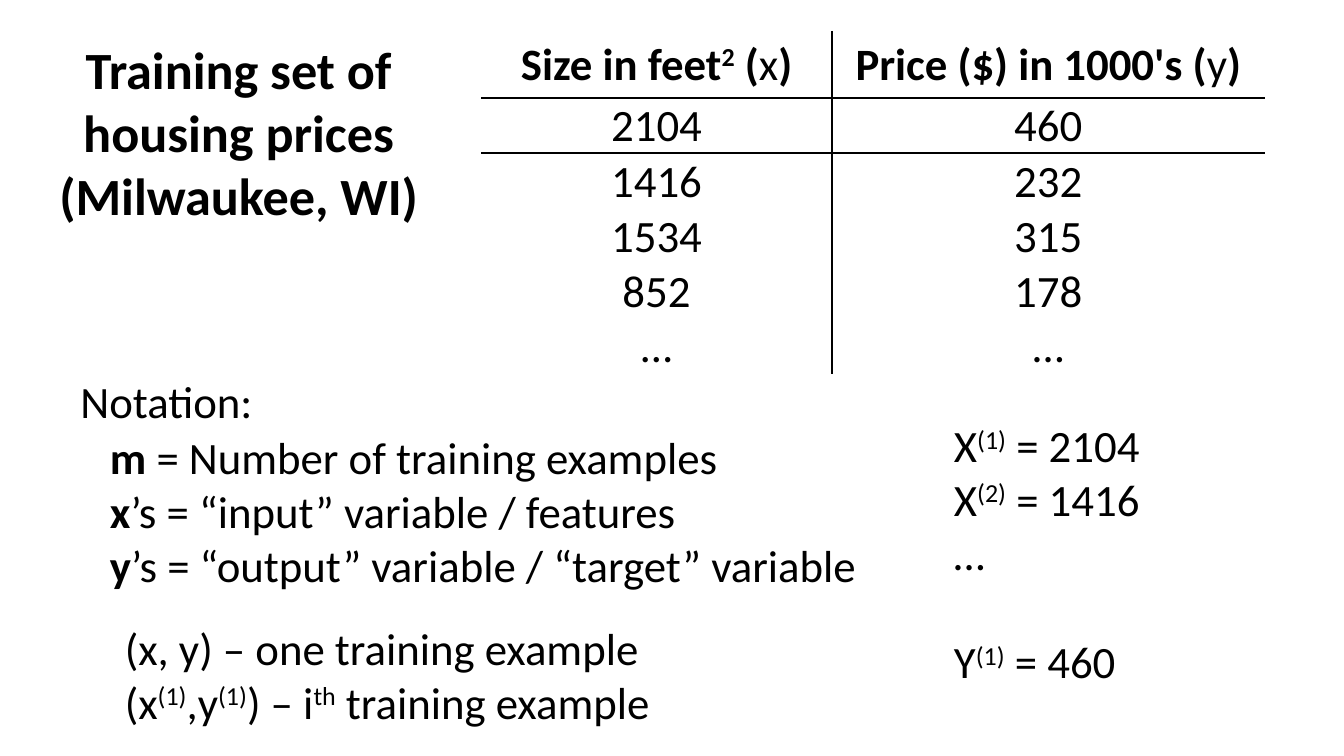
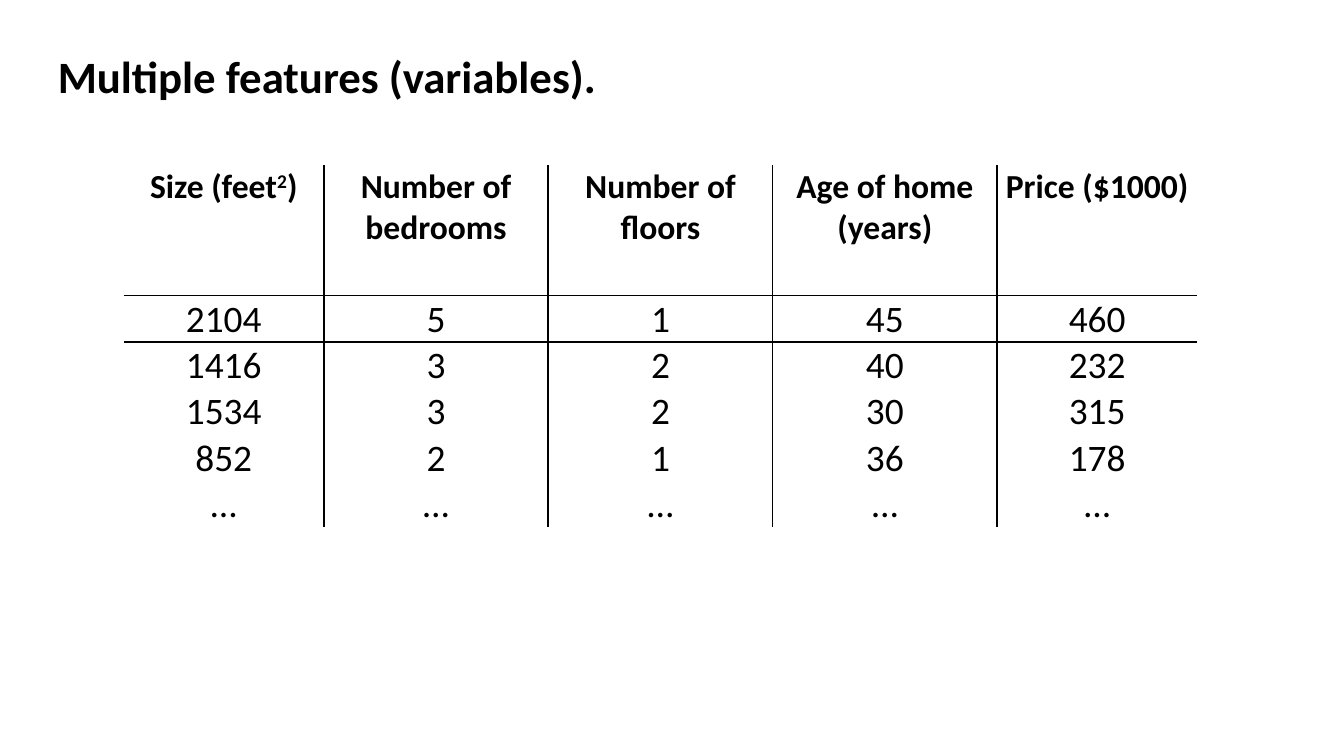
from dataclasses import dataclass

from lxml import etree
from pptx import Presentation
from pptx.dml.color import RGBColor
from pptx.enum.text import MSO_ANCHOR, MSO_AUTO_SIZE, PP_ALIGN
from pptx.oxml.ns import qn
from pptx.slide import Slide
from pptx.table import _Cell
from pptx.text.text import TextFrame, _Paragraph
from pptx.util import Inches, Pt

BLACK = RGBColor(0x00, 0x00, 0x00)
WHITE = RGBColor(0xFF, 0xFF, 0xFF)
FONT = "Calibri"
PLAIN = "{2D5ABB26-0587-4C30-8999-92F81FD0307C}"
LEFT, CENTER = PP_ALIGN.LEFT, PP_ALIGN.CENTER
TOP, MIDDLE, BOTTOM = MSO_ANCHOR.TOP, MSO_ANCHOR.MIDDLE, MSO_ANCHOR.BOTTOM
FIT = MSO_AUTO_SIZE.SHAPE_TO_FIT_TEXT
TITLE_ONLY = 5


@dataclass
class Area:
    left: float
    top: float
    width: float
    height: float

    def lengths(self) -> list[int]:
        return [Inches(v) for v in (self.left, self.top, self.width, self.height)]


@dataclass
class Line:
    text: str
    indent: float = 0
    before: float = 0


@dataclass
class Note:
    area: Area
    lines: list[Line]
    wrap: bool = False


@dataclass
class Grid:
    area: Area
    widths: list[float]
    head: float
    step: float
    rows: list[list[str]]
    sizes: tuple[int, int]
    anchor: MSO_ANCHOR


def write(para: _Paragraph, text: str, size: float, bold: bool = False,
          align: PP_ALIGN = LEFT) -> None:
    """Split text at bars: ^ raises a part, * flips its weight."""
    para.alignment = align
    font = para.font
    font.name, font.size, font.bold = FONT, Pt(size), bold
    font.color.rgb = BLACK
    for part in text.split("|"):
        run = para.add_run()
        run.text = part.lstrip("^*")
        if part.startswith("^"):
            run.font._element.set("baseline", "30000")
        elif part.startswith("*"):
            run.font.bold = not bold


def fill_frame(frame: TextFrame, lines: list[Line], size: float, wrap: bool,
               bold: bool = False, align: PP_ALIGN = LEFT) -> None:
    frame.word_wrap = wrap
    frame.auto_size = FIT
    frame.vertical_anchor = TOP
    for i, line in enumerate(lines):
        para = frame.add_paragraph() if i else frame.paragraphs[0]
        write(para, line.text, size, bold, align)
        para.space_before = Pt(line.before)
        if line.indent:
            para._p.get_or_add_pPr().set("marL", str(Inches(line.indent)))


def set_title(slide: Slide, area: Area, lines: list[str], size: float,
              wrap: bool, align: PP_ALIGN) -> None:
    title = slide.shapes.title
    title.left, title.top, title.width, title.height = area.lengths()
    fill_frame(title.text_frame, [Line(t) for t in lines], size, wrap, True, align)


def add_note(slide: Slide, note: Note) -> None:
    box = slide.shapes.add_textbox(*note.area.lengths())
    fill_frame(box.text_frame, note.lines, 24, note.wrap)


def add_edges(cell: _Cell, sides: list[str]) -> None:
    props = cell._tc.get_or_add_tcPr()
    for i, side in enumerate(sides):
        edge = etree.Element(qn(f"a:{side}"), w=str(Pt(1)))
        fill = etree.SubElement(edge, qn("a:solidFill"))
        etree.SubElement(fill, qn("a:srgbClr"), val=str(BLACK))
        props.insert(i, edge)


def add_grid(slide: Slide, grid: Grid) -> None:
    count, last = len(grid.rows), len(grid.widths) - 1
    frame = slide.shapes.add_table(count, last + 1, *grid.area.lengths())
    table = frame.table
    table.first_row = table.horz_banding = False
    table._tbl.tblPr.find(qn("a:tableStyleId")).text = PLAIN
    for col, width in zip(table.columns, grid.widths):
        col.width = Inches(width)
    for r, texts in enumerate(grid.rows):
        head = r == 0
        table.rows[r].height = Inches(grid.head if head else grid.step)
        for c, text in enumerate(texts):
            cell = table.cell(r, c)
            cell.margin_left = cell.margin_right = cell.margin_top = Inches(0.01)
            cell.margin_bottom = 0
            cell.vertical_anchor = grid.anchor if head else BOTTOM
            cell.fill.solid()
            cell.fill.fore_color.rgb = WHITE
            write(cell.text_frame.paragraphs[0], text,
                  grid.sizes[0 if head else 1], head, CENTER)
            rules = {"lnL": c > 0, "lnR": c < last, "lnT": r == 1, "lnB": head}
            add_edges(cell, [side for side, shown in rules.items() if shown])
    frame.height = Inches(grid.area.height)


HOMES = [
    ["2104", "5", "1", "45", "460"],
    ["1416", "3", "2", "40", "232"],
    ["1534", "3", "2", "30", "315"],
    ["852", "2", "1", "36", "178"],
    ["…"] * 5,
]

PRICES = Grid(
    Area(3.58, 0.23, 5.83, 2.54), [2.61, 3.22], 0.5, 0.32,
    [["Size in feet|^2| (|*x|)", "Price ($) in 1000's (|*y|)"]]
    + [[home[0], home[-1]] for home in HOMES],
    (24, 24), MIDDLE)

TRAITS = Grid(
    Area(0.92, 1.23, 8, 2.67), [1.49, 1.67, 1.67, 1.67, 1.49], 0.97, 0.33,
    [["Size (feet|^2|)", "Number of bedrooms", "Number of floors",
      "Age of home (years)", "Price ($1000)"]] + HOMES,
    (18, 20), TOP)

NOTES = [
    Note(Area(0.5, 2.73, 6.03, 1.75), [
        Line("Notation:"),
        Line("*m| = Number of training examples", 0.22, 1.3),
        Line("*x|’s = “input” variable / features", 0.22),
        Line("*y|’s = “output” variable / “target” variable", 0.22),
    ]),
    Note(Area(7, 3.06, 2.14, 2.52), [
        Line("X|^(1)| = 2104"),
        Line("X|^(2)| = 1416"),
        Line("…"),
        Line("Y|^(1)| = 460", before=29.3),
    ], True),
    Note(Area(0.83, 4.57, 4.25, 0.91), [
        Line("(x, y) – one training example"),
        Line("(x|^(1)|,y|^(1)|) – i|^th| training example"),
    ]),
]


def main() -> None:
    deck = Presentation()
    deck.slide_width = Inches(10)
    deck.slide_height = deck.slide_width * 9 // 16
    layout = deck.slide_layouts[TITLE_ONLY]

    slide = deck.slides.add_slide(layout)
    set_title(slide, Area(0.32, 0.23, 2.91, 1.51),
              ["Training set of", "housing prices", "(Milwaukee, WI)"],
              28, False, CENTER)
    add_grid(slide, PRICES)
    for note in NOTES:
        add_note(slide, note)

    slide = deck.slides.add_slide(layout)
    set_title(slide, Area(0.33, 0.31, 8.5, 0.5),
              ["Multiple features (variables)."], 24, True, LEFT)
    add_grid(slide, TRAITS)

    deck.save("out.pptx")


if __name__ == "__main__":
    main()
